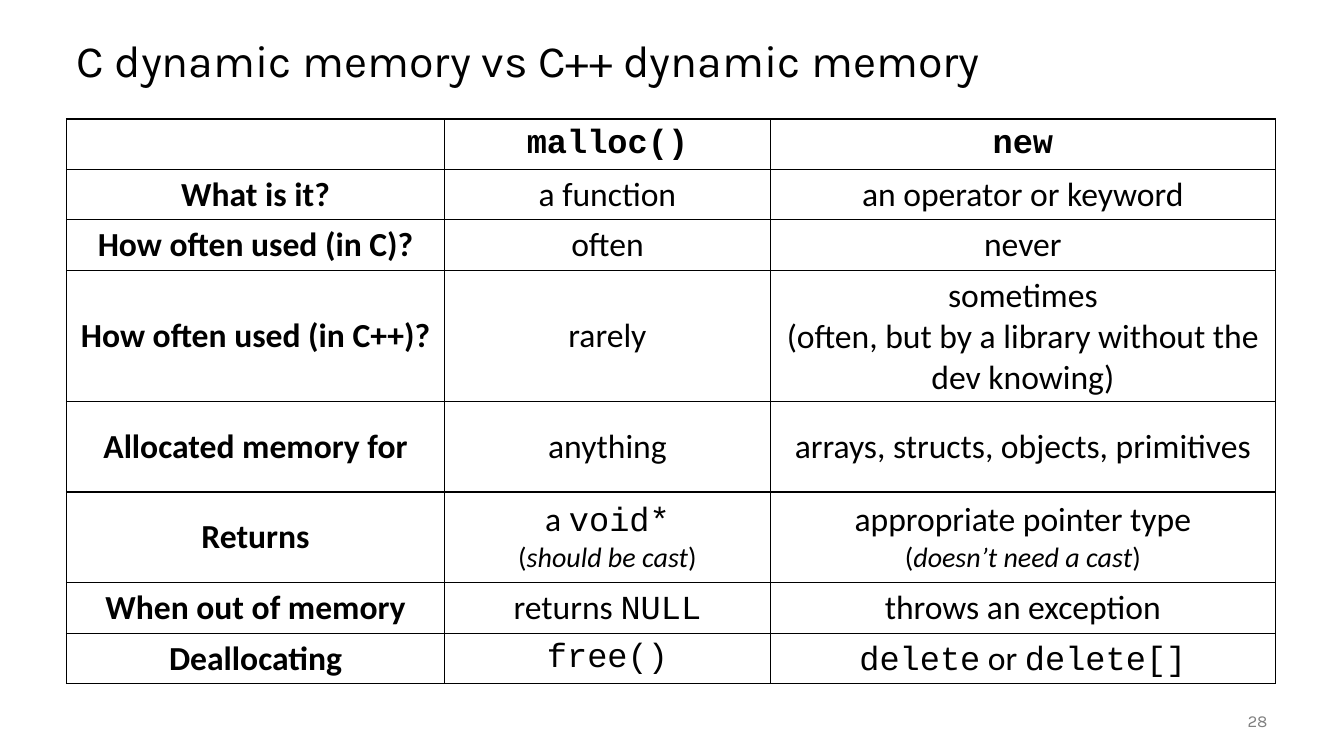
from dataclasses import dataclass

from lxml import etree
from pptx import Presentation, util as u
from pptx.dml import color
from pptx.enum import text
from pptx.oxml import ns


@dataclass(frozen=True)
class Theme:
    ink: str = "000000"
    gray: str = "808080"
    head: str = "Karla"
    body: str = "Calibri"
    code: str = "Courier New"
    title: int = 32
    cell: int = 24
    note: int = 20
    foot: int = 12
    rule: int = 1


THEME = Theme()
MID = text.PP_ALIGN.CENTER
BOLD = {"bold": True}
CODE = {"font": THEME.code}
NOTE = {"size": THEME.note}
SLANT = {"size": THEME.note, "italic": True}

COLS = [3.75, 3.23, 5.01]
ROWS = [0.5, 0.5, 0.5, 0.5, 0.9, 0.9, 0.5, 0.5]


def plain(words):
    return [(words, {})]


def code(words):
    return [(words, CODE)]


def aside(words):
    return [("(", NOTE), (words, SLANT), (")", NOTE)]


GRID = [
    ("", [[("malloc()", CODE | BOLD)]], [[("new", CODE | BOLD)]]),
    ("What is it?", [plain("a function")], [plain("an operator or keyword")]),
    ("How often used (in C)?", [plain("often")], [plain("never")]),
    ("How often used (in C++)?", [plain("rarely")],
     [plain("sometimes"),
      plain("(often, but by a library without the dev knowing)")]),
    ("Allocated memory for", [plain("anything")],
     [plain("arrays, structs, objects, primitives")]),
    ("Returns", [plain("a ") + code("void*"), aside("should be cast")],
     [plain("appropriate pointer type"), aside("doesn’t need a cast")]),
    ("When out of memory", [plain("returns ") + code("NULL")],
     [plain("throws an exception")]),
    ("Deallocating", [code("free()")],
     [code("delete") + plain(" or ") + code("delete[]")]),
]


def write(para, words, font=THEME.body, size=THEME.cell, ink=THEME.ink,
          bold=False, italic=False):
    run = para.add_run()
    run.text = words
    run.font.name = font
    run.font.size = u.Pt(size)
    run.font.bold = bold
    run.font.italic = italic
    run.font.color.rgb = color.RGBColor.from_string(ink)


def label(slide, box, words, align=None, space=None, **style):
    frame = slide.shapes.add_textbox(*map(u.Inches, box)).text_frame
    frame.word_wrap = True
    frame.vertical_anchor = text.MSO_ANCHOR.MIDDLE
    para = frame.paragraphs[0]
    para.alignment = align
    para.line_spacing = space
    write(para, words, **style)


def border(cell):
    props = cell._tc.get_or_add_tcPr()
    for spot, side in enumerate(("lnL", "lnR", "lnT", "lnB")):
        line = etree.Element(ns.qn(f"a:{side}"), w=str(u.Pt(THEME.rule)))
        fill = etree.SubElement(line, ns.qn("a:solidFill"))
        etree.SubElement(fill, ns.qn("a:srgbClr"), val=THEME.ink)
        props.insert(spot, line)


def fill_cell(cell, lines):
    cell.fill.background()
    cell.vertical_anchor = text.MSO_ANCHOR.MIDDLE
    border(cell)
    para = cell.text_frame.paragraphs[0]
    para.alignment = MID
    for spot, line in enumerate(lines):
        if spot:
            para.add_line_break()
        for words, style in line:
            write(para, words, **style)


def table(slide, left, top):
    size = map(u.Inches, (left, top, sum(COLS), sum(ROWS)))
    grid = slide.shapes.add_table(len(ROWS), len(COLS), *size).table
    grid.first_row = False
    grid.horz_banding = False
    for col, width in zip(grid.columns, COLS):
        col.width = u.Inches(width)
    for row, height, (name, *cells) in zip(grid.rows, ROWS, GRID):
        row.height = u.Inches(height)
        first = [[(name, BOLD)]] if name else []
        for cell, lines in zip(row.cells, [first, *cells]):
            fill_cell(cell, lines)


def main():
    deck = Presentation()
    deck.slide_width = u.Inches(13.33)
    deck.slide_height = u.Inches(7.5)
    slide = deck.slides.add_slide(deck.slide_layouts[6])
    label(slide, (0.66, 0.25, 12, 0.75),
          "C dynamic memory vs C++ dynamic memory",
          space=0.9, font=THEME.head, size=THEME.title)
    table(slide, 0.66, 1.18)
    label(slide, (11.67, 6.95, 1, 0.4), "28", align=text.PP_ALIGN.RIGHT,
          font=THEME.head, size=THEME.foot, ink=THEME.gray)
    deck.save("out.pptx")


if __name__ == "__main__":
    main()
